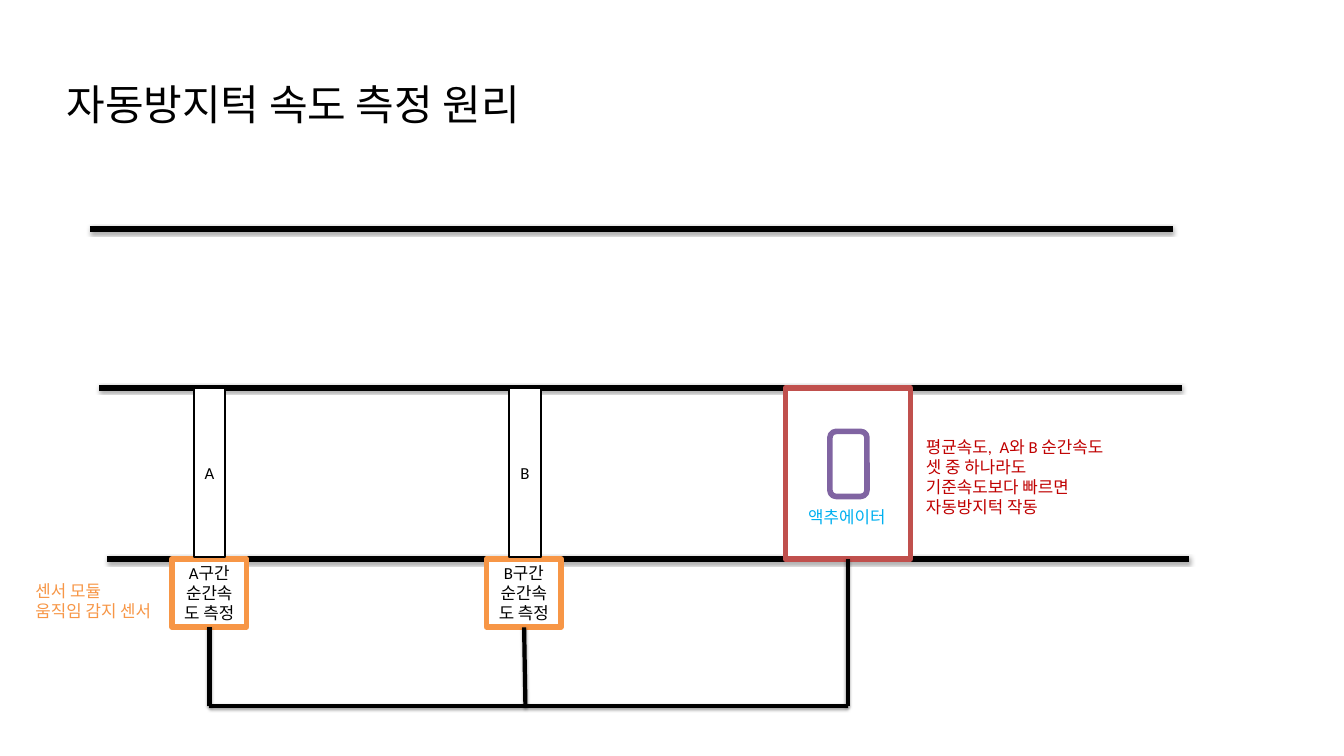
from pptx import Presentation
from pptx.dml.color import RGBColor
from pptx.enum.shapes import MSO_CONNECTOR as Link, MSO_SHAPE as Shape
from pptx.enum.text import MSO_ANCHOR as Anchor, PP_ALIGN as Align
from pptx.oxml import parse_xml
from pptx.oxml.ns import nsdecls
from pptx.util import Cm, Pt

BLACK, WHITE = "000000", "FFFFFF"
ORANGE, RED, PURPLE = "F79646", "C0504D", "8064A2"
ROAD_TOP, ROAD_BOTTOM, WIRE_Y = 14.66, 21.13, 26.7
SENSOR_BOTTOM = 23.72
SHADOW = (
    f'<a:effectLst {nsdecls("a")}>'
    '<a:outerShdw blurRad="39370" dist="20320" dir="5400000" rotWithShape="0">'
    '<a:srgbClr val="000000"><a:alpha val="38000"/></a:srgbClr>'
    '</a:outerShdw></a:effectLst>'
)


def color(value):
    return RGBColor.from_string(value)


def write(frame, lines, size, ink, align=Align.LEFT):
    frame.word_wrap = True
    for index, line in enumerate(lines):
        para = frame.paragraphs[0] if index == 0 else frame.add_paragraph()
        para.text = line
        para.alignment = align
        para.font.name = "Calibri"
        para.font.size = Pt(size)
        para.font.color.rgb = color(ink)


def add_text(page, area, lines, ink, size=18, inset=None):
    box = page.shapes.add_textbox(*map(Cm, area))
    frame = box.text_frame
    if inset is not None:
        frame.margin_left = frame.margin_right = Cm(inset)
        frame.margin_top = frame.margin_bottom = Cm(inset)
    write(frame, lines, size, ink)


def add_block(page, area, edge, weight=6, label=None, kind=Shape.RECTANGLE):
    block = page.shapes.add_shape(kind, *map(Cm, area))
    block.shadow.inherit = False
    block.fill.solid()
    block.fill.fore_color.rgb = color(WHITE)
    block.line.color.rgb = color(edge)
    block.line.width = Pt(weight)
    if label:
        block.text_frame.vertical_anchor = Anchor.MIDDLE
        write(block.text_frame, [label], 18, BLACK, Align.CENTER)


def add_line(page, start, end, weight):
    line = page.shapes.add_connector(Link.STRAIGHT, *map(Cm, start + end))
    line.line.color.rgb = color(BLACK)
    line.line.width = Pt(weight)
    line._element.spPr.append(parse_xml(SHADOW))


def main():
    deck = Presentation()
    deck.slide_width, deck.slide_height = Cm(50.8), Cm(28.58)
    page = deck.slides.add_slide(deck.slide_layouts[6])

    # Title
    add_text(page, (2.51, 2.95, 18.72, 2.77), ["자동방지턱 속도 측정 원리"], BLACK, 45, 0)

    # Road lines
    for left, y in ((3.4, 8.66), (3.76, ROAD_TOP), (4.04, ROAD_BOTTOM)):
        add_line(page, (left, y), (left + 40.92, y), 6)

    # Speed bump with its actuator
    add_block(page, (29.69, ROAD_TOP, 4.72, 6.48), RED)
    add_block(page, (31.37, 16.31, 1.4, 2.46), PURPLE, kind=Shape.ROUNDED_RECTANGLE)

    # Sensors
    for name, left in (("A", 6.5), ("B", 18.39)):
        add_block(page, (left, ROAD_BOTTOM, 2.82, 2.57), ORANGE,
                  label=f"{name}구간 순간속도 측정")
    add_text(page, (1.09, 21.84, 8.23, 1.8), ["센서 모듈", "움직임 감지 센서"], ORANGE)
    add_text(page, (30.3, 19.05, 8.23, 1.02), ["액추에이터"], "00B0F0")

    # Wires from the sensors to the speed bump
    for start, end in (
        ((7.92, SENSOR_BOTTOM), (7.92, WIRE_Y)),
        ((7.9, WIRE_Y), (19.86, WIRE_Y)),
        ((19.81, SENSOR_BOTTOM), (19.86, WIRE_Y)),
        ((19.86, WIRE_Y), (32.05, WIRE_Y)),
        ((32.05, ROAD_BOTTOM), (32.05, WIRE_Y)),
    ):
        add_line(page, start, end, 4.5)

    # Detection strips across the lane
    for name, left in (("A", 7.32), ("B", 19.25)):
        add_block(page, (left, ROAD_TOP, 1.19, 6.4), BLACK, 2, name)

    # Trigger rule
    add_text(page, (34.75, 16.38, 7.75, 3.33),
             ["평균속도,  A와 B 순간속도", "셋 중 하나라도",
              "기준속도보다 빠르면 자동방지턱 작동"], "C00000")

    deck.save("out.pptx")


if __name__ == "__main__":
    main()
